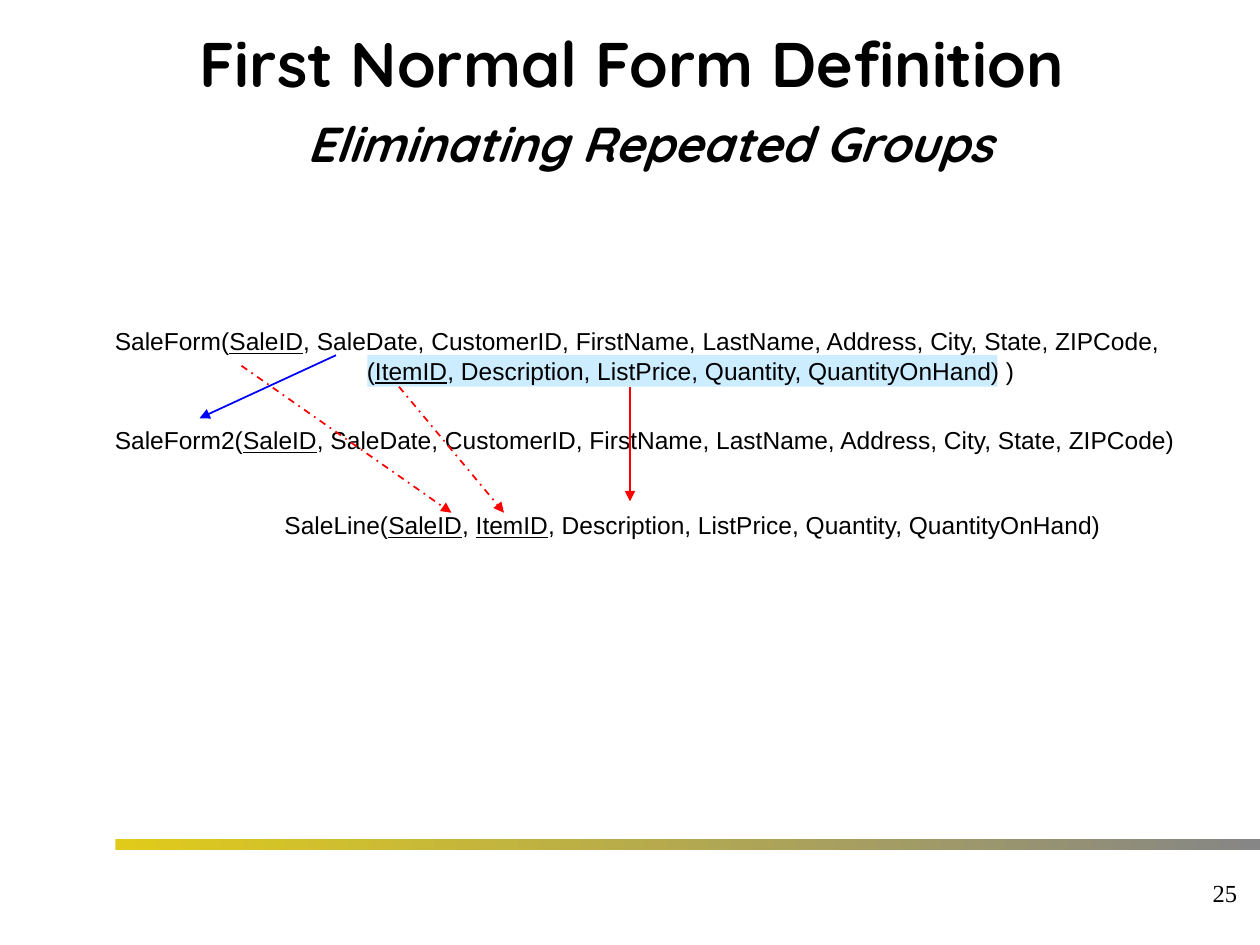
from lxml import etree
from pptx import Presentation
from pptx.dml.color import RGBColor
from pptx.enum.dml import MSO_LINE
from pptx.enum.shapes import MSO_CONNECTOR, MSO_SHAPE
from pptx.enum.text import MSO_ANCHOR, MSO_AUTO_SIZE, PP_ALIGN
from pptx.oxml.ns import qn
from pptx.util import Pt

BLACK = RGBColor(0x00, 0x00, 0x00)
RED = RGBColor(0xFF, 0x00, 0x00)
BLUE = RGBColor(0x00, 0x00, 0xFF)
PALE_BLUE = RGBColor(0xCC, 0xEC, 0xFF)
YELLOW = RGBColor(0xE0, 0xCB, 0x1B)
GRAY = RGBColor(0x86, 0x86, 0x86)

DASH_DOT = MSO_LINE.DASH_DOT
STRAIGHT = MSO_CONNECTOR.STRAIGHT
RECTANGLE = MSO_SHAPE.RECTANGLE
MIDDLE = MSO_ANCHOR.MIDDLE
FIXED, GROW = MSO_AUTO_SIZE.NONE, MSO_AUTO_SIZE.SHAPE_TO_FIT_TEXT
LEFT, CENTER, RIGHT = PP_ALIGN.LEFT, PP_ALIGN.CENTER, PP_ALIGN.RIGHT

HEADING = {"name": "Quicksand", "size": Pt(36), "bold": True}
SUBHEADING = {**HEADING, "size": Pt(28), "italic": True}
BODY = {"name": "Arial", "size": Pt(14)}
KEY = {**BODY, "underline": True}
NUMBER = {"name": "Times New Roman", "size": Pt(14)}

CUSTOMER_FIELDS = ", SaleDate, CustomerID, FirstName, LastName, Address, City, State, ZIPCode"
ITEM_FIELDS = ", Description, ListPrice, Quantity, QuantityOnHand)"
SALE_KEY, ITEM_KEY = ("SaleID", KEY), ("ItemID", KEY)


class SlideBuilder:
    """Draws styled elements on the current slide."""

    def __init__(self, page):
        self.page = page

    def paragraph(self, frame, spans, first, align=LEFT, indent=0):
        para = frame.paragraphs[0] if first else frame.add_paragraph()
        para.alignment = align
        if indent:
            properties = para._p.get_or_add_pPr()
            properties.set("marL", str(Pt(indent)))
            properties.set("indent", "0")
        for text, style in spans:
            span = para.add_run()
            span.text = text
            span.font.color.rgb = BLACK
            for name, value in style.items():
                setattr(span.font, name, value)

    def title(self, left, top, width, height, lines):
        box = self.page.shapes.title
        box.left, box.top, box.width, box.height = map(Pt, (left, top, width, height))
        frame = box.text_frame
        frame.auto_size = FIXED
        frame.vertical_anchor = MIDDLE
        for index, spans in enumerate(lines):
            self.paragraph(frame, spans, index == 0, CENTER)

    def text(self, left, top, width, height, lines, align=LEFT, **settings):
        box = self.page.shapes.add_textbox(*map(Pt, (left, top, width, height)))
        for name, value in settings.items():
            setattr(box.text_frame, name, value)
        for index, (indent, spans) in enumerate(lines):
            self.paragraph(box.text_frame, spans, index == 0, align, indent)

    def bar(self, left, top, width, height, *colors):
        shape = self.page.shapes.add_shape(RECTANGLE, *map(Pt, (left, top, width, height)))
        shape.shadow.inherit = False
        shape.line.fill.background()
        if len(colors) == 1:
            shape.fill.solid()
            shape.fill.fore_color.rgb = colors[0]
        else:
            shape.fill.gradient()
            shape.fill.gradient_angle = 0
            for stop, color in zip(shape.fill.gradient_stops, colors):
                stop.color.rgb = color

    def arrow(self, start, end, color, dash=None):
        connector = self.page.shapes.add_connector(STRAIGHT, *map(Pt, (*start, *end)))
        connector.line.color.rgb = color
        connector.line.width = Pt(1)
        if dash:
            connector.line.dash_style = dash
        outline = connector.line._get_or_add_ln()
        etree.SubElement(outline, qn("a:tailEnd"), type="triangle")
        etree.SubElement(connector._element.spPr, qn("a:effectLst"))


def main():
    deck = Presentation()
    deck.slide_width, deck.slide_height = Pt(720), Pt(540)
    builder = SlideBuilder(deck.slides.add_slide(deck.slide_layouts[5]))

    builder.bar(66, 479.5, 654, 6.5, YELLOW, GRAY)
    builder.text(564, 492, 150, 36, [(0, [("25", NUMBER)])], RIGHT,
                 word_wrap=True, vertical_anchor=MIDDLE)
    builder.bar(210, 203, 360, 18, PALE_BLUE)
    builder.title(0, 12, 732, 90, [
        [("First Normal Form Definition ", HEADING)],
        [(" ", HEADING), ("Eliminating Repeated Groups", SUBHEADING)],
    ])

    relations = [
        (58.5, 183, 613.5, 41, [
            (0, [("SaleForm(", BODY), SALE_KEY, (CUSTOMER_FIELDS + ",", BODY)]),
            (144, [("(", BODY), ITEM_KEY, (ITEM_FIELDS + " )", BODY)]),
        ]),
        (58.5, 239.5, 622, 24.5, [
            (0, [("SaleForm2(", BODY), SALE_KEY, (CUSTOMER_FIELDS + ")", BODY)]),
        ]),
        (155.5, 288, 481.5, 24.5, [
            (0, [("SaleLine(", BODY), SALE_KEY, (", ", BODY), ITEM_KEY, (ITEM_FIELDS, BODY)]),
        ]),
    ]
    for relation in relations:
        builder.text(*relation, word_wrap=False, auto_size=GROW)

    builder.arrow((360, 221), (360, 286.5), RED)
    builder.arrow((192, 203), (114, 239), BLUE)
    builder.arrow((138, 209), (258, 293), RED, DASH_DOT)
    builder.arrow((228, 221), (288, 293), RED, DASH_DOT)
    deck.save("out.pptx")


if __name__ == "__main__":
    main()
